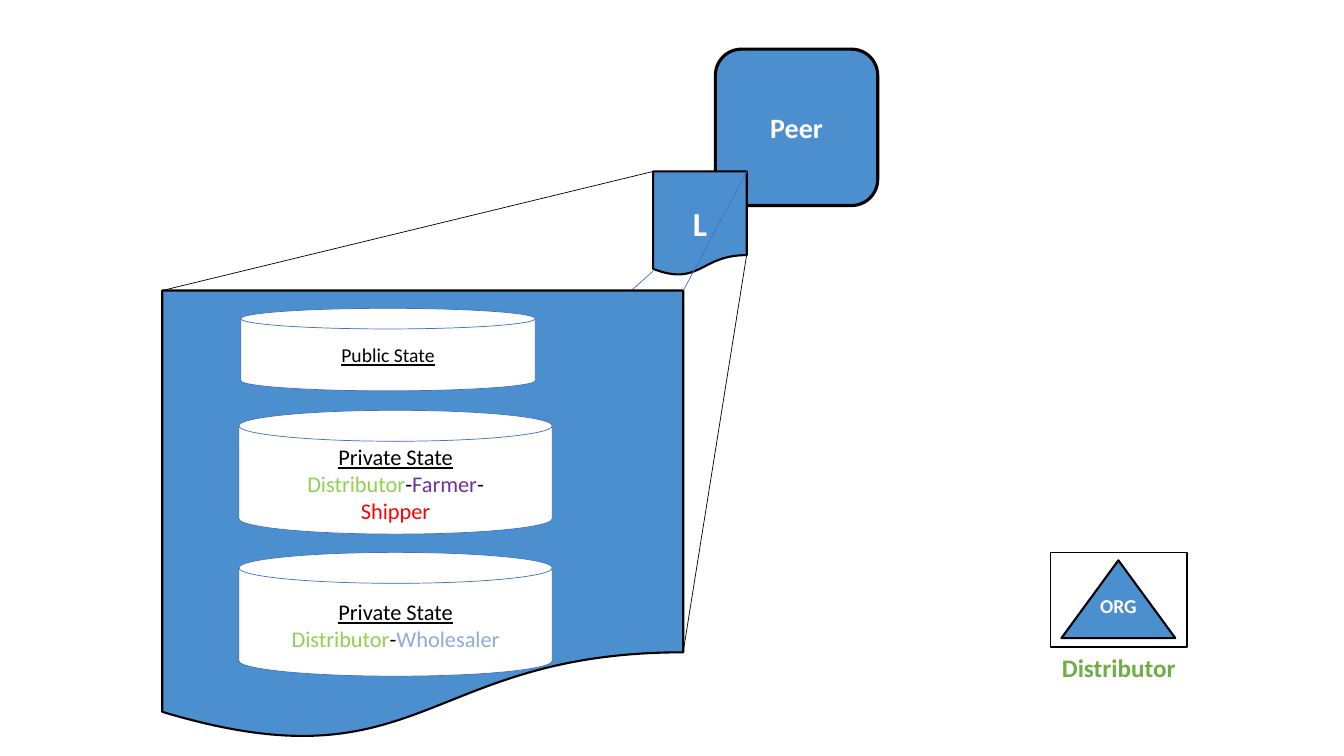
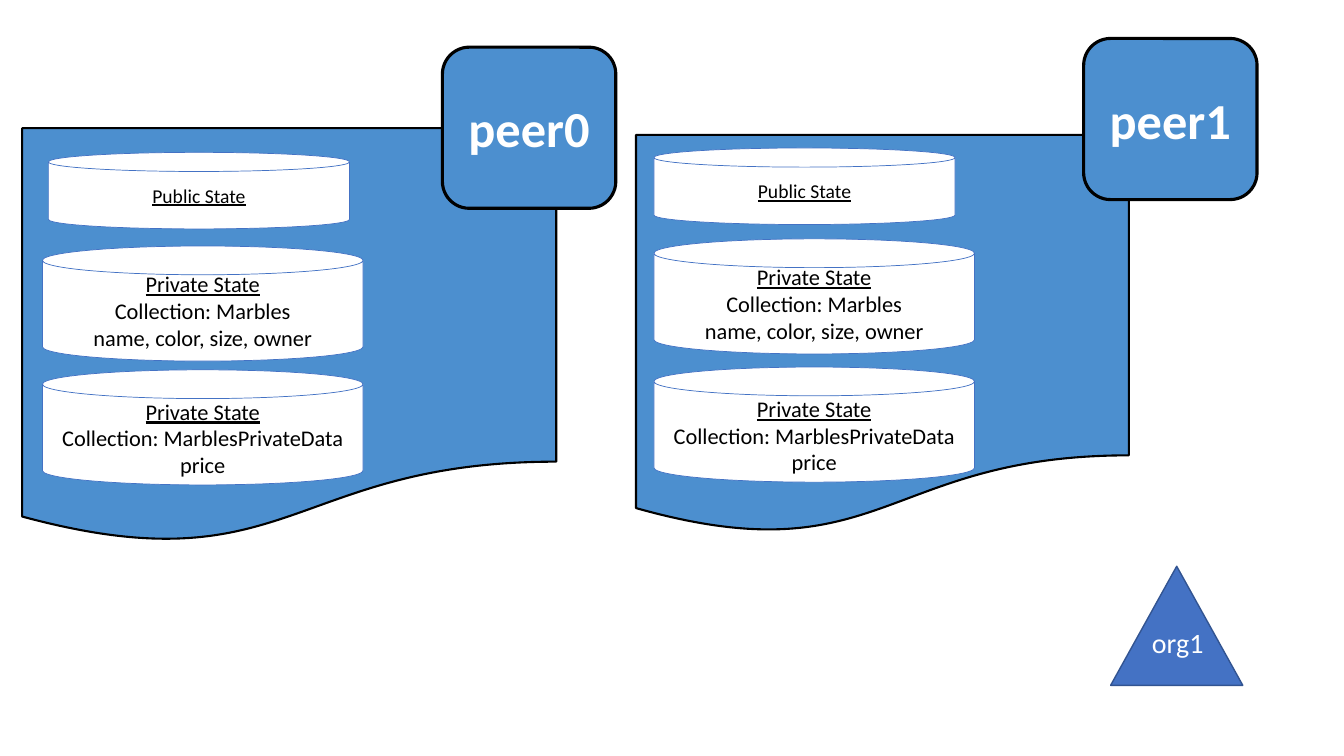
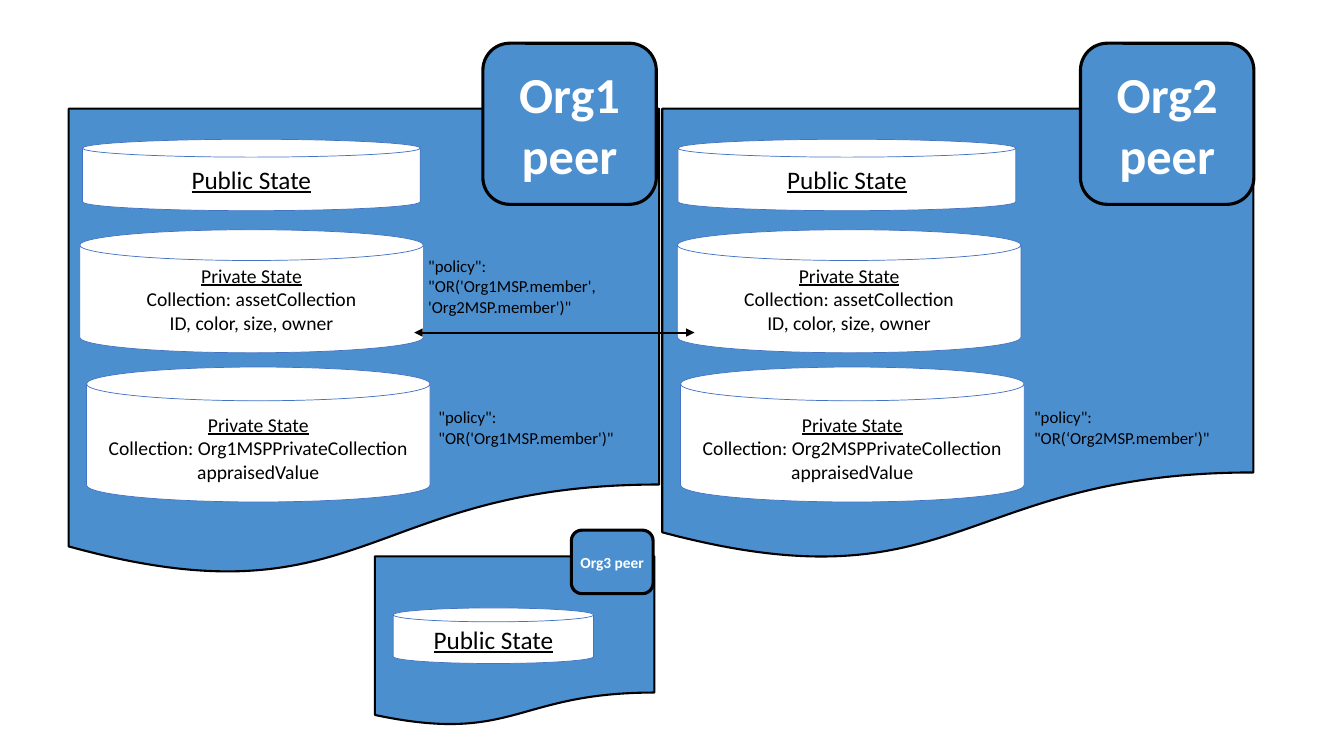
from lxml.etree import SubElement
from pptx import Presentation
from pptx.dml.color import RGBColor
from pptx.enum.shapes import MSO_CONNECTOR as Link, MSO_SHAPE as Form
from pptx.enum.text import MSO_ANCHOR as Anchor, MSO_AUTO_SIZE as Fit, PP_ALIGN as Align
from pptx.oxml.ns import qn
from pptx.util import Cm, Pt

THEME = {
    "font": "Calibri",
    "pad": (0.25, 0.13),
    "tight": (0.13, 0.13),
    "ink": {
        "black": "000000", "white": "FFFFFF", "sky": "4C8FCF", "blue": "4472C4",
        "navy": "325491", "lime": "92D050", "purple": "7030A0", "red": "FF0000",
        "pale": "8FAADC", "green": "70AD47",
    },
    "size": {"tiny": 11, "note": 12, "small": 14, "body": 16, "large": 18,
             "head": 20, "mark": 24, "huge": 36},
}

STYLES = {
    "doc": dict(form=Form.FLOWCHART_DOCUMENT, fill="sky", line=("black", 1.5),
                ink="white", bold=True, pad="tight"),
    "peer": dict(form=Form.ROUNDED_RECTANGLE, fill="sky", line=("black", 2.25),
                 ink="white", bold=True, pad="tight"),
    "can": dict(form=Form.CAN, fill="white", line=("blue", 0.5), under=True),
    "frame": dict(form=Form.RECTANGLE, line=("black", 1)),
    "org": dict(form=Form.ISOSCELES_TRIANGLE, fill="sky", line=("black", 1.5),
                ink="white", bold=True, pad="tight"),
    "tri": dict(form=Form.ISOSCELES_TRIANGLE, fill="blue", line=("navy", 1)),
    "name": dict(ink="green", bold=True),
    "label": dict(ink="white", align=Align.LEFT),
    "note": dict(align=Align.LEFT),
    "thin": dict(line=("black", 0.5)),
    "trace": dict(line=("blue", 0.5)),
    "arrow": dict(line=("black", 1.5), heads=True),
}

PUBLIC = ["Public State"]
MARBLES = ["Private State", "Collection: Marbles", "name, color, size, owner"]
PRICES = ["Private State", "Collection: MarblesPrivateData", "price"]
ASSETS = ["Private State", "Collection: assetCollection", "ID, color, size, owner"]
TRADE = ["Private State", [("Distributor", "lime"), ("-", "black"),
         ("Farmer", "purple"), ("-", "black")], [("Shipper", "red")]]
SALE = ["Private State", [("Distributor", "lime"), ("-", "black"), ("Wholesaler", "pale")]]


def value(org):
    return ["Private State", f"Collection: {org}MSPPrivateCollection", "appraisedValue"]


def marble(doc, peer, name, spots):
    cans = zip(spots, [(7.59, 1.93), (8.08, 2.9), (8.08, 2.9)],
               [PUBLIC, MARBLES, PRICES], ["small", "body", "body"], [0, 0, 0.17])
    return [("doc", doc), *(("can", at + dims, *rest) for at, dims, *rest in cans),
            ("peer", peer + (4.37, 4.06), [name], "huge")]


def asset(doc, peer, org, lefts):
    cans = zip(lefts, [3.51, 5.79, 9.25], [(8.51, 1.8), (8.66, 3.1), (8.66, 3.4)],
               [PUBLIC, ASSETS, value(org)], ["large", "small", "small"], [0, 0, 0.25])
    return [("doc", doc), *(("can", (x, y) + dims, *rest) for x, y, dims, *rest in cans),
            ("peer", peer + (4.37, 4.06), [f"{org} peer"], "huge")]


SLIDES = [
    [
        ("trace", (4.09, 17.91, 16.46, 6.83)),
        ("doc", (4.09, 7.32, 13.13, 11.37)),
        ("peer", (18.03, 1.24, 4.09, 3.94), ["Peer"], "head"),
        ("can", (6.07, 7.77, 7.42, 2.08), PUBLIC, "small"),
        ("can", (6.02, 10.34, 7.9, 3.12), TRADE, "body", 0.17),
        ("can", (6.02, 13.92, 7.9, 3.12), SALE, "body", 0.17),
        ("doc", (16.46, 4.32, 2.36, 2.63), ["L"], "mark", 0.5),
        ("thin", (16.46, 4.32, 4.09, 7.32)),
        ("trace", (18.82, 4.32, 17.22, 7.32)),
        ("thin", (18.82, 6.4, 17.22, 16.41)),
        ("frame", (26.47, 13.92, 3.45, 2.39)),
        ("org", (26.75, 14.12, 2.87, 1.96), ["ORG"], "small", 0, 0.66),
        ("name", (26.47, 16.31, 3.45, 1.02), ["Distributor"], "large"),
    ],
    [
        ("tri", (27.99, 14.27, 3.33, 3)),
        ("label", (28.78, 15.62, 3.18, 1.12), ["org1"], "head"),
        *marble((0.56, 3.23, 13.46, 10.48), (11.15, 1.19), "peer0",
                [(1.22, 3.84), (1.07, 6.2), (1.07, 9.32)]),
        *marble((16.03, 3.4, 12.42, 10.07), (27.31, 0.97), "peer1",
                [(16.48, 3.73), (16.48, 6.02), (16.48, 9.25)]),
    ],
    [
        *asset((1.73, 2.74, 14.88, 11.81), (12.17, 1.09), "Org1", [2.08, 2.01, 2.18]),
        *asset((16.69, 2.74, 14.9, 11.43), (27.23, 1.09), "Org2", [17.09, 17.07, 17.15]),
        ("arrow", (10.44, 8.38, 17.5, 8.38)),
        ("note", (10.54, 6.32, 6.07, 1.8),
         ["\"policy\": \"OR('Org1MSP.member', 'Org2MSP.member')\""], "note"),
        ("note", (10.8, 10.13, 5.74, 1.27), ["\"policy\": \"OR('Org1MSP.member')\""], "note"),
        ("doc", (9.45, 14.02, 7.04, 4.28)),
        ("can", (9.91, 15.32, 5.05, 1.4), PUBLIC, "large"),
        ("peer", (14.4, 13.36, 2.06, 1.6), ["Org3 peer"], "tiny"),
        ("note", (25.81, 10.13, 5.74, 1.27), ["\"policy\": \"OR(‘Org2MSP.member')\""], "note"),
    ],
]


def tint(name):
    return RGBColor.from_string(THEME["ink"][name])


def put(obj, **attrs):
    for key, val in attrs.items():
        setattr(obj, key, val)


def stroke(item, line):
    name, width = line
    item.line.color.rgb = tint(name)
    item.line.width = Pt(width)


def link(slide, box, style):
    wire = slide.shapes.add_connector(Link.STRAIGHT, *map(Cm, box))
    stroke(wire, style["line"])
    if style.get("heads"):
        for tag in ("a:headEnd", "a:tailEnd"):
            SubElement(wire.line._get_or_add_ln(), qn(tag), type="triangle")
    SubElement(wire._element.spPr, qn("a:effectLst"))


def write(shape, style, lines, size, drop, lift):
    side, edge = THEME[style.get("pad", "pad")]
    frame = shape.text_frame
    put(frame, word_wrap=True, margin_left=Cm(side), margin_right=Cm(side),
        margin_top=Cm(edge + drop), margin_bottom=Cm(edge + lift))
    if "form" in style:
        frame.vertical_anchor = Anchor.MIDDLE
    else:
        frame.auto_size = Fit.SHAPE_TO_FIT_TEXT
    for row, line in enumerate(lines):
        para = frame.add_paragraph() if row else frame.paragraphs[0]
        para.alignment = style.get("align", Align.CENTER)
        ink = style.get("ink", "black")
        for text, name in [(line, ink)] if isinstance(line, str) else line:
            run = para.add_run()
            run.text = text
            put(run.font, name=THEME["font"], size=Pt(THEME["size"][size]),
                bold=style.get("bold", False),
                underline=style.get("under", False) and row == 0)
            run.font.color.rgb = tint(name)


def draw(slide, kind, box, lines=(), size="body", drop=0, lift=0):
    style = STYLES[kind]
    if "form" in style:
        shape = slide.shapes.add_shape(style["form"], *map(Cm, box))
        shape.shadow.inherit = False
        if "fill" in style:
            shape.fill.solid()
            shape.fill.fore_color.rgb = tint(style["fill"])
        else:
            shape.fill.background()
        stroke(shape, style["line"])
    elif "line" in style:
        link(slide, box, style)
    else:
        shape = slide.shapes.add_textbox(*map(Cm, box))
    if lines:
        write(shape, style, lines, size, drop, lift)


def main():
    deck = Presentation()
    put(deck, slide_width=Cm(33.87), slide_height=Cm(19.05))
    for items in SLIDES:
        slide = deck.slides.add_slide(deck.slide_layouts[6])
        for item in items:
            draw(slide, *item)
    deck.save("out.pptx")


if __name__ == "__main__":
    main()
